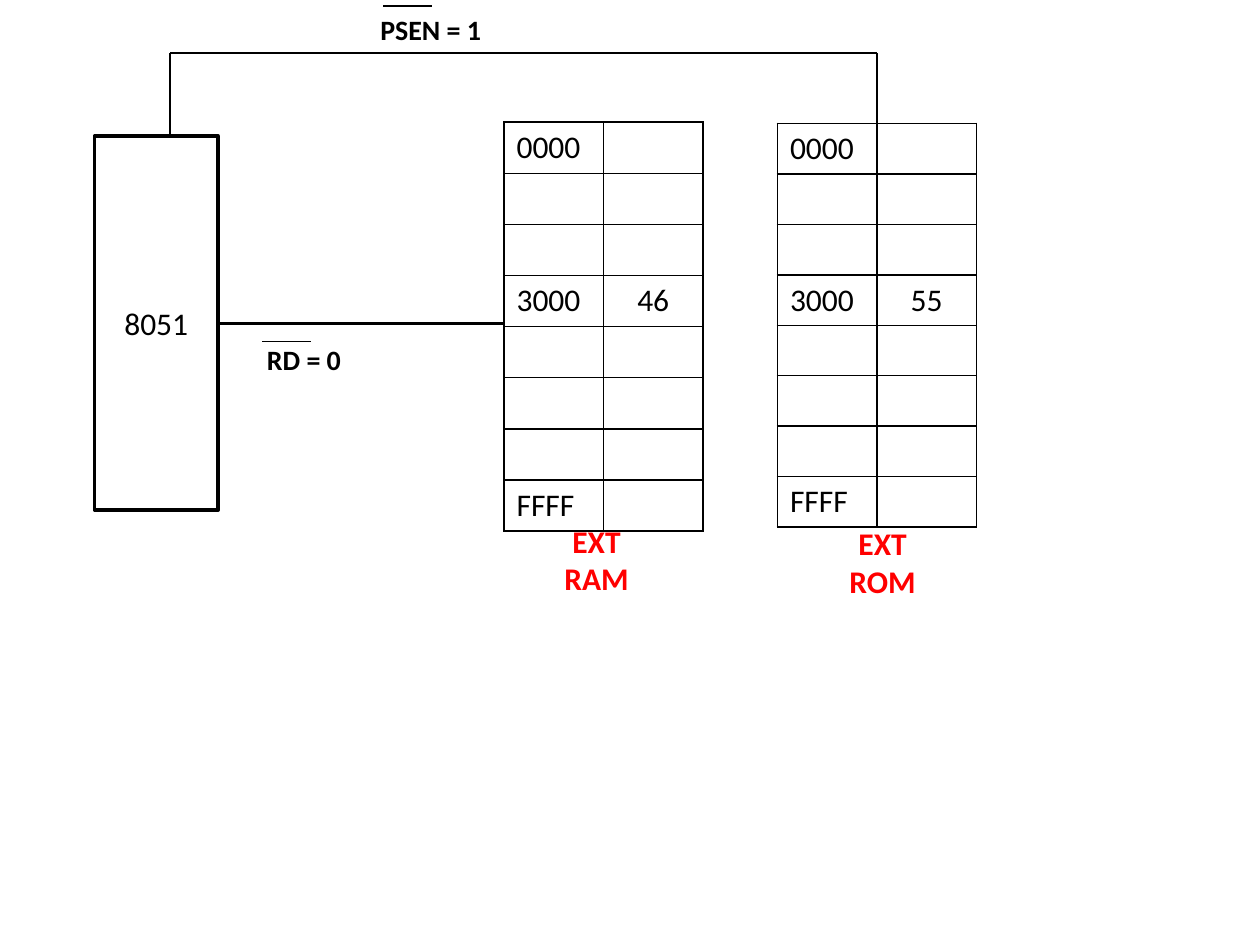
"""Build a slide showing a chip reading external RAM while external ROM stays idle."""
import pptx
import pptx.dml.color
import pptx.enum.shapes
import pptx.enum.text
import pptx.oxml
import pptx.oxml.ns
import pptx.util

BLACK = pptx.dml.color.RGBColor(0, 0, 0)
RED = pptx.dml.color.RGBColor(255, 0, 0)
ALIGN = pptx.enum.text.PP_ALIGN
ROWS, COLS = 8, 2

prs = pptx.Presentation()
prs.slide_width = pptx.util.Inches(10)
prs.slide_height = pptx.util.Inches(7.5)
unit = prs.slide_width // 10
s = prs.slides.add_slide(prs.slide_layouts[6])


def grid(*lengths):
    """Turn tenths of the slide width into lengths."""
    return [pptx.util.Emu(round(n * unit)) for n in lengths]


def write(p, text, size, color=BLACK, bold=False, align=ALIGN.LEFT):
    """Add one formatted run to a paragraph."""
    p.alignment = align
    r = p.add_run()
    r.text = text
    r.font.name = "Calibri"
    r.font.size = pptx.util.Pt(size)
    r.font.bold = bold
    r.font.color.rgb = color


sp = s.shapes.add_shape(pptx.enum.shapes.MSO_SHAPE.RECTANGLE, *grid(0.75, 1.08, 0.98, 2.97))
sp.shadow.inherit = False
sp.fill.background()
sp.line.color.rgb = BLACK
sp.line.width = pptx.util.Pt(2)
sp.text_frame.vertical_anchor = pptx.enum.text.MSO_ANCHOR.MIDDLE
write(sp.text_frame.paragraphs[0], "8051", 18, align=ALIGN.CENTER)

memories = [
    ("RAM", "46", 4, 0.97, 4.32, 4.09),
    ("ROM", "55", 6.17, 0.98, 6.59, 4.11),
]
for name, value, left, top, label_left, label_top in memories:
    table = s.shapes.add_table(ROWS, COLS, *grid(left, top, 0.79 * COLS, 0.4 * ROWS)).table
    table.first_row = False
    table.horz_banding = False
    for row in table.rows:
        for cell in row.cells:
            cell.fill.background()
            tc_pr = cell._tc.get_or_add_tcPr()
            for i, side in enumerate(("lnL", "lnR", "lnT", "lnB")):
                tc_pr.insert(i, pptx.oxml.parse_xml(
                    f'<a:{side} {pptx.oxml.ns.nsdecls("a")} w="12700"><a:solidFill>'
                    f'<a:srgbClr val="{BLACK}"/></a:solidFill></a:{side}>'))
    for row, address in ((0, "0000"), (3, "3000"), (ROWS - 1, "FFFF")):
        write(table.cell(row, 0).text_frame.paragraphs[0], address, 18)
    write(table.cell(3, 1).text_frame.paragraphs[0], value, 18, align=ALIGN.CENTER)

    tf = s.shapes.add_textbox(*grid(label_left, label_top, 0.83, 0.71)).text_frame
    tf.word_wrap = True
    write(tf.paragraphs[0], "EXT", 18, RED, True, ALIGN.CENTER)
    write(tf.add_paragraph(), name, 18, RED, True, ALIGN.CENTER)

for text, left, top in (("PSEN = 1", 2.92, 0.05), ("RD = 0", 2.02, 2.67)):
    tf = s.shapes.add_textbox(*grid(left, top, 1.41, 0.37)).text_frame
    tf.word_wrap = True
    write(tf.paragraphs[0], text, 16, bold=True)

lines = [
    (1.73, 2.57, 4, 2.57, 1.5),
    (1.35, 0.42, 6.96, 0.42, 1.5),
    (1.35, 0.42, 1.35, 1.08, 1.5),
    (6.96, 0.42, 6.96, 0.98, 1.5),
    (3.04, 0.05, 3.43, 0.05, 1),
    (2.08, 2.71, 2.47, 2.71, 1),
]
for *ends, width in lines:
    line = s.shapes.add_connector(pptx.enum.shapes.MSO_CONNECTOR.STRAIGHT, *grid(*ends))
    line.line.color.rgb = BLACK
    line.line.width = pptx.util.Pt(width)
    line._element.spPr.append(pptx.oxml.parse_xml(f'<a:effectLst {pptx.oxml.ns.nsdecls("a")}/>'))

prs.save("out.pptx")
